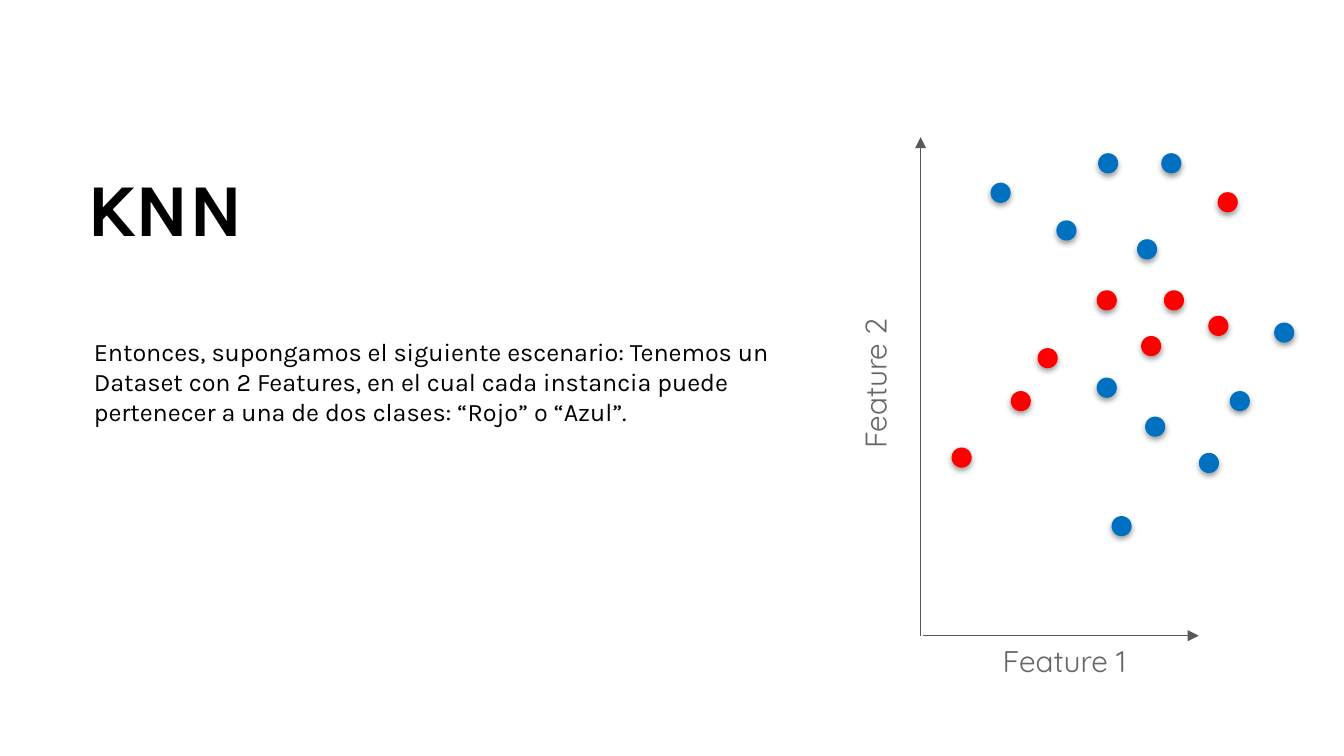
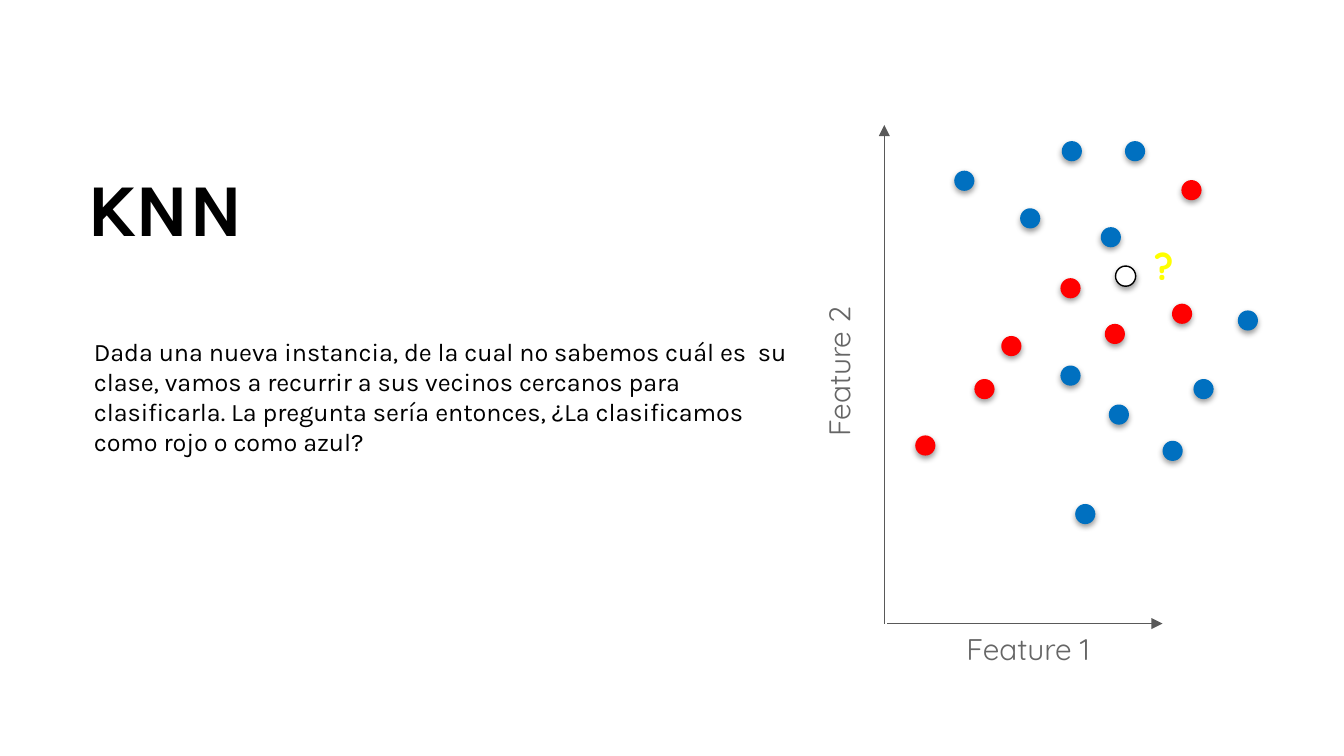
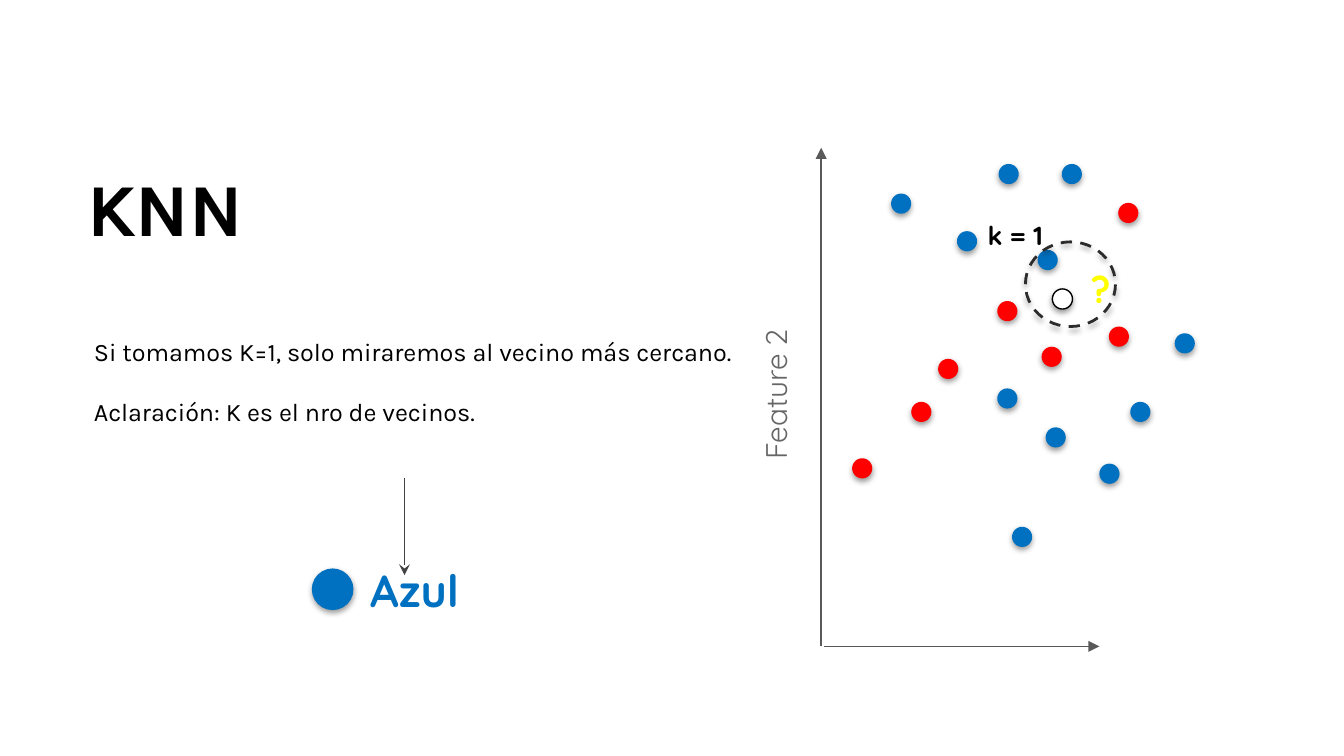
from pptx import Presentation
from pptx.dml.color import RGBColor
from pptx.enum.dml import MSO_LINE
from pptx.enum.shapes import MSO_CONNECTOR, MSO_SHAPE
from pptx.enum.text import MSO_ANCHOR, PP_ALIGN
from pptx.oxml import parse_xml
from pptx.oxml.ns import nsdecls, qn
from pptx.util import Inches, Pt

rgb = RGBColor.from_string
RED, BLUE, WHITE, BLACK = "FF0000", "0070C0", "FFFFFF", "000000"
AXIS, LABEL, YELLOW, RING, ARROW = "595959", "666666", "FFFF00", "2C2C2C", "434343"
DOT = 0.15

# Text styles: font attributes, colour, paragraph attributes
TITLE = ({"name": "Karla", "size": Pt(40), "bold": True}, BLACK, {"line_spacing": 0.9})
BODY = ({"name": "Karla", "size": Pt(13.5)}, BLACK, {})
AXIS_LABEL = ({"name": "Quicksand", "size": Pt(16)}, LABEL, {"alignment": PP_ALIGN.CENTER})
QUESTION = ({"name": "Quicksand", "size": Pt(20), "bold": True}, YELLOW,
            {"alignment": PP_ALIGN.CENTER})
K_LABEL = ({"name": "Quicksand", "size": Pt(14), "bold": True}, BLACK, {})
ANSWER = ({"name": "Quicksand", "size": Pt(24), "bold": True}, BLUE,
          {"alignment": PP_ALIGN.CENTER, "space_after": Pt(10)})

# Dot positions measured from the origin of the axes
RED_DOTS = [(1.31, -2.57), (0.87, -2.14), (1.64, -2.23), (2.14, -2.38),
            (0.67, -1.82), (0.23, -1.4), (2.21, -3.3)]
BLUE_DOTS = [(2.63, -2.33), (1.42, -0.89), (2.3, -1.82), (2.07, -1.36),
             (1.79, -3.59), (1.32, -3.59), (0.52, -3.37), (1.01, -3.09),
             (1.61, -2.95), (1.31, -1.92), (1.67, -1.63)]
EXTRA_RED = (1.81, -2.57)

# Per slide: body paragraphs, origin of the axes
SLIDES = [
    (["Entonces, supongamos el siguiente escenario: Tenemos un Dataset con 2 Features, "
      "en el cual cada instancia puede pertenecer a una de dos clases: “Rojo” o “Azul”."],
     (6.85, 4.73)),
    (["Dada una nueva instancia, de la cual no sabemos cuál es  su clase, vamos a recurrir "
      "a sus vecinos cercanos para clasificarla. La pregunta sería entonces, "
      "¿La clasificamos como rojo o como azul?"],
     (6.58, 4.64)),
    (["Si tomamos K=1, solo miraremos al vecino más cercano.",
      "Aclaración: K es el nro de vecinos."],
     (6.11, 4.81)),
]


def add_text(s, paragraphs, box, style, inset=0.1, rotation=0):
    font, color, layout = style
    sp = s.shapes.add_textbox(*map(Inches, box))
    sp.rotation = rotation
    tf = sp.text_frame
    frame = {"word_wrap": True, "vertical_anchor": MSO_ANCHOR.TOP,
             "margin_left": Inches(0.1), "margin_right": Inches(0.1),
             "margin_top": Inches(inset), "margin_bottom": Inches(inset)}
    for name, value in frame.items():
        setattr(tf, name, value)
    for i, text in enumerate(paragraphs):
        p = tf.add_paragraph() if i else tf.paragraphs[0]
        for name, value in layout.items():
            setattr(p, name, value)
        if i:
            p.space_before = Pt(16)
        r = p.add_run()
        r.text = text
        for name, value in font.items():
            setattr(r.font, name, value)
        r.font.color.rgb = rgb(color)


def add_ellipse(s, box, fill=None, line=None, width=0.75, alpha=38, dist=1.6):
    sp = s.shapes.add_shape(MSO_SHAPE.OVAL, *map(Inches, box))
    if fill:
        sp.fill.solid()
        sp.fill.fore_color.rgb = rgb(fill)
    else:
        sp.fill.background()
    if line:
        sp.line.color.rgb = rgb(line)
        sp.line.width = Pt(width)
    else:
        sp.line.fill.background()
    # Soft shadow straight below
    sp.shadow.inherit = False
    sp._element.spPr.find(qn("a:effectLst")).append(parse_xml(
        f'<a:outerShdw {nsdecls("a")} blurRad="{Pt(3.1)}" dist="{Pt(dist)}" '
        f'dir="5400000" rotWithShape="0"><a:srgbClr val="{BLACK}">'
        f'<a:alpha val="{alpha * 1000}"/></a:srgbClr></a:outerShdw>'))
    return sp


# Widescreen 16:9
prs = Presentation()
prs.slide_width, prs.slide_height = Inches(10), Inches(10 * 9 / 16)

for number, (body, (ox, oy)) in enumerate(SLIDES, 1):
    s = prs.slides.add_slide(prs.slide_layouts[6])

    # Title and body
    add_text(s, ["KNN"], (0.55, 1.18, 5.45, 0.81), TITLE)
    add_text(s, body, (0.6, 2.4, 5.45, 1.57 if number == 2 else 1.34), BODY)

    # Axes, and the arrow to the answer on the last slide
    lines = [(ox, oy, ox, oy - 3.71, AXIS, "triangle"),
             (ox + 0.02, oy, ox + 2.07, oy, AXIS, "triangle")]
    if number == 3:
        lines.append((3.01, 3.56, 3.01, 4.28, ARROW, "stealth"))
    for *ends, color, head in lines:
        cx = s.shapes.add_connector(MSO_CONNECTOR.STRAIGHT, *map(Inches, ends))
        cx.line.color.rgb = rgb(color)
        cx.line.width = Pt(0.75)
        cx.line._get_or_add_ln().append(
            parse_xml(f'<a:tailEnd {nsdecls("a")} type="{head}"/>'))
        cx._element.spPr.append(parse_xml(f'<a:effectLst {nsdecls("a")}/>'))

    # Axis labels
    if number < 3:
        add_text(s, ["Feature 1"], (ox - 0.69, oy - 0.05, 3.52, 0.43), AXIS_LABEL)
    add_text(s, ["Feature 2"], (ox - 2.12, oy - 2.09, 3.52, 0.43), AXIS_LABEL, rotation=270)

    # Instances of both classes
    reds = RED_DOTS + [EXTRA_RED] if number == 1 else RED_DOTS
    for color, dots in ((RED, reds), (BLUE, BLUE_DOTS)):
        for dx, dy in dots:
            add_ellipse(s, (ox + dx, oy + dy, DOT, DOT), color)

    # New instance of unknown class
    if number > 1:
        add_text(s, ["?"], (ox - 0.42, oy - 2.88, 5, 0.44), QUESTION, inset=0.05)
        add_ellipse(s, (ox + 1.72, oy - 2.66, DOT, DOT), WHITE, BLACK)

# Nearest neighbour and the answer, on the last slide
add_text(s, ["k = 1"], (7.25, 1.58, 0.71, 0.31), K_LABEL, inset=0.05)
ring = add_ellipse(s, (7.63, 1.8, 0.67, 0.63), line=RING, width=1.5, alpha=35, dist=1.8)
ring.line.dash_style = MSO_LINE.DASH
add_text(s, ["Azul"], (2.47, 4.09, 1.23, 0.59), ANSWER)
add_ellipse(s, (2.32, 4.23, 0.31, 0.31), BLUE)

prs.save("out.pptx")
